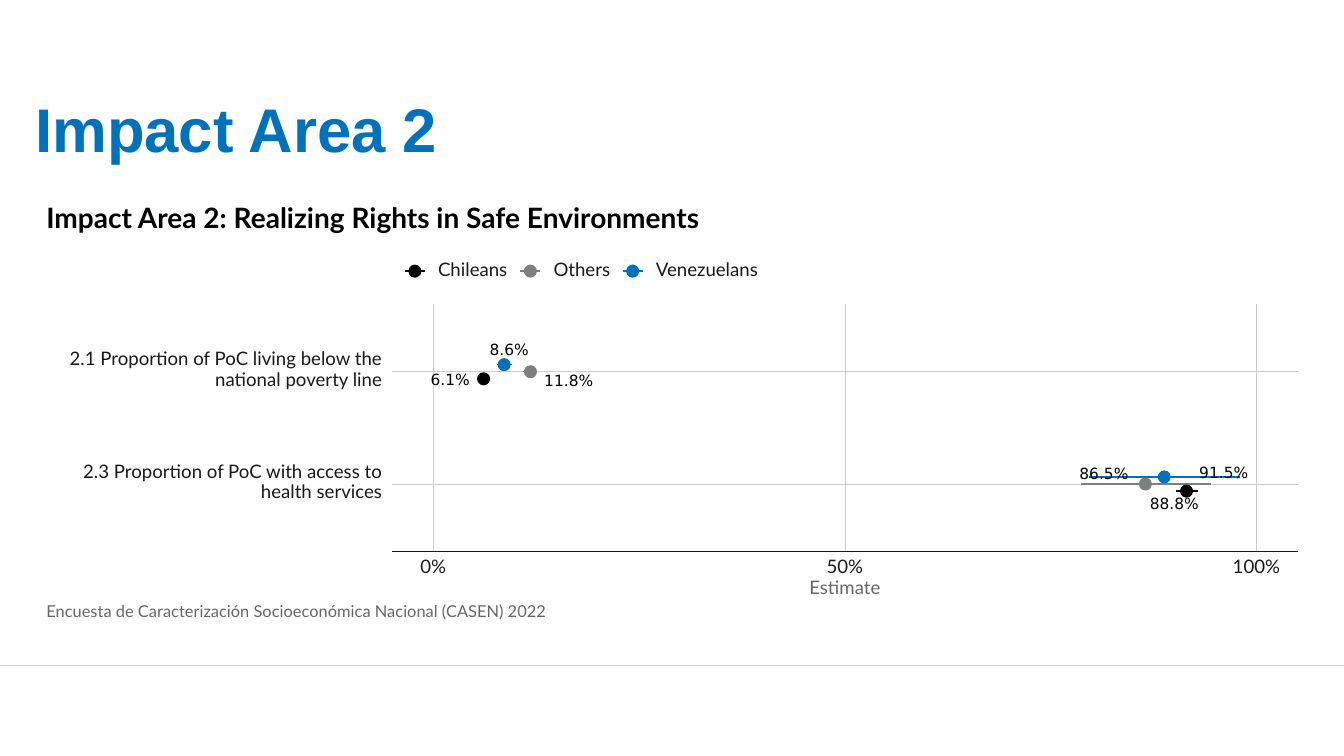
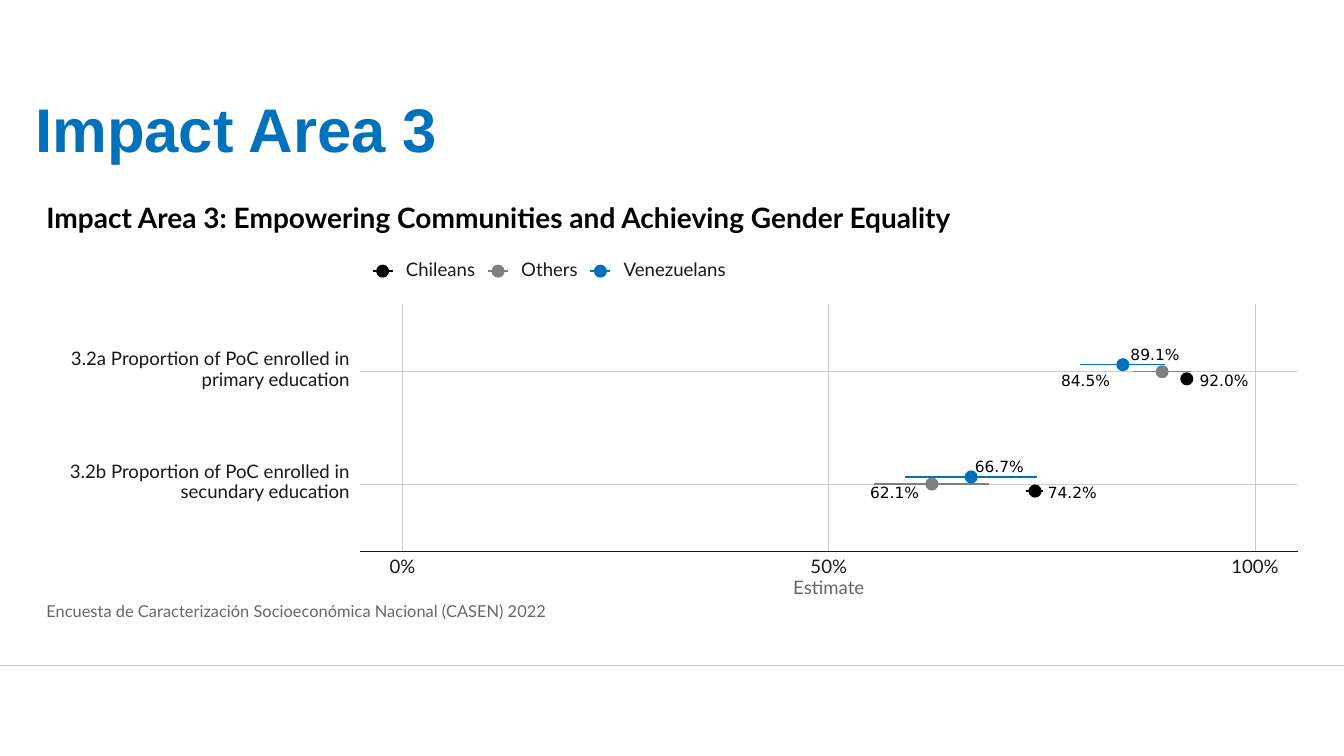
from dataclasses import dataclass

from lxml import etree
from pptx import Presentation
from pptx import util as u
from pptx.dml.color import RGBColor
from pptx.enum import shapes, text
from pptx.oxml import ns

# Grid: square cells of a tenth of an inch; all positions are in cells
CELL = 0.1
COLS, ROWS = 133.3, 75

# Colours
BLUE, BLACK, GREY = "0072BC", "000000", "7F7F7F"
RULE, INK, MUTED = "CCCCCC", "191919", "666666"

# Plot frame; the value axis reaches 5 % beyond 0 and 100
PLOT_TOP, PLOT_BOTTOM, PLOT_RIGHT = 30.2, 54.7, 128.7
AXIS_MIN, AXIS_MAX = -5, 105
ROW_PITCH = (PLOT_BOTTOM - PLOT_TOP) / 2.2
MARKER = 1.1
LEGEND_Y = 26.9
SOURCE = "Encuesta de Caracterización Socioeconómica Nacional (CASEN) 2022"

LEFT, CENTER, RIGHT = text.PP_ALIGN.LEFT, text.PP_ALIGN.CENTER, text.PP_ALIGN.RIGHT


@dataclass(frozen=True)
class Series:
    name: str
    color: str
    dodge: float  # vertical shift from the category line
    name_width: float


@dataclass(frozen=True)
class Estimate:
    low: float
    value: float
    high: float
    label_dx: float  # label centre, measured from the marker
    label_dy: float


@dataclass(frozen=True)
class Indicator:
    name: str
    estimates: tuple[Estimate, ...]  # in the order of SERIES


@dataclass(frozen=True)
class Area:
    title: str
    subtitle: str
    plot_left: float
    indicators: tuple[Indicator, ...]

    def x(self, value: float) -> float:
        share = (value - AXIS_MIN) / (AXIS_MAX - AXIS_MIN)
        return self.plot_left + share * (PLOT_RIGHT - self.plot_left)


SERIES = (
    Series("Chileans", BLACK, 0.7, 6.9),
    Series("Others", GREY, 0, 5.6),
    Series("Venezuelans", BLUE, -0.7, 10.3),
)

AREAS = (
    Area("Impact Area 2", "Impact Area 2: Realizing Rights in Safe Environments", 38.9, (
        Indicator("2.1 Proportion of PoC living below the\nnational poverty line", (
            Estimate(6.0, 6.1, 6.3, -3.3, 0.2),
            Estimate(10.9, 11.8, 12.6, 3.8, 1.0),
            Estimate(7.7, 8.6, 9.6, 0.5, -1.4))),
        Indicator("2.3 Proportion of PoC with access to\nhealth services", (
            Estimate(90.2, 91.5, 92.9, 3.7, -1.7),
            Estimate(78.7, 86.5, 94.5, -4.1, -0.9),
            Estimate(79.7, 88.8, 98.0, 1.0, 2.8))),
    )),
    Area("Impact Area 3",
         "Impact Area 3: Empowering Communities and Achieving Gender Equality", 35.7, (
             Indicator("3.2a Proportion of PoC enrolled in\nprimary education", (
                 Estimate(91.5, 92.0, 92.5, 3.7, 0.3),
                 Estimate(85.7, 89.1, 92.5, -0.7, -1.6),
                 Estimate(79.5, 84.5, 89.4, -3.7, 1.7))),
             Indicator("3.2b Proportion of PoC enrolled in\nsecundary education", (
                 Estimate(73.1, 74.2, 75.1, 3.7, 0.3),
                 Estimate(55.3, 62.1, 68.8, -3.7, 1.0),
                 Estimate(58.9, 66.7, 74.4, 2.8, -0.9))),
         )),
)


def cells(n: float) -> int:
    return u.Inches(n * CELL)


def rgb(color: str) -> RGBColor:
    return RGBColor.from_string(color)


def format_runs(p, font: str, size: float, color: str, bold: bool = False) -> None:
    for r in p.runs:
        r.font.name, r.font.size, r.font.bold = font, u.Pt(size), bold
        r.font.color.rgb = rgb(color)


def add_line(sps, x1: float, y1: float, x2: float, y2: float,
             color: str, width: float) -> None:
    sp = sps.add_connector(shapes.MSO_CONNECTOR.STRAIGHT,
                           cells(x1), cells(y1), cells(x2), cells(y2))
    sp.line.color.rgb = rgb(color)
    sp.line.width = u.Pt(width)
    etree.SubElement(sp.element.spPr, ns.qn("a:effectLst"))


def add_marker(sps, x: float, y: float, color: str) -> None:
    sp = sps.add_shape(shapes.MSO_SHAPE.OVAL, cells(x - MARKER / 2), cells(y - MARKER / 2),
                       cells(MARKER), cells(MARKER))
    sp.shadow.inherit = False
    sp.fill.solid()
    sp.fill.fore_color.rgb = sp.line.color.rgb = rgb(color)
    sp.line.width = u.Pt(1.42)


def add_text(sps, words: str, x: float, y: float, width: float, align=LEFT,
             size: float = 13.3, color: str = INK, font: str = "Lato",
             bold: bool = False, spacing: float = 0) -> None:
    """Text centred on height y; x is its left, centre or right by align."""
    left = x - {LEFT: 0, CENTER: 0.5, RIGHT: 1}[align] * width
    height = 2 * (1 + words.count("\n"))
    sp = sps.add_textbox(cells(left), cells(y - height / 2), cells(width), cells(height))
    tf = sp.text_frame
    tf.word_wrap = True
    tf.margin_left = tf.margin_right = tf.margin_top = tf.margin_bottom = 0
    tf.vertical_anchor = text.MSO_ANCHOR.MIDDLE
    p = tf.paragraphs[0]
    p.text = words
    p.alignment = align
    p.line_spacing = u.Pt(spacing or size)
    format_runs(p, font, size, color, bold)


def add_frame(s, title: str) -> None:
    """Title and footer rule shared by all slides."""
    sp = s.shapes.title
    sp.left, sp.top, sp.width, sp.height = map(cells, (2.5, 2.5, 128.3, 14.5))
    tf = sp.text_frame
    tf.text = title
    tf.vertical_anchor = text.MSO_ANCHOR.BOTTOM
    tf.auto_size = text.MSO_AUTO_SIZE.NONE
    p = tf.paragraphs[0]
    p.alignment = LEFT
    p.line_spacing = 0.9
    format_runs(p, "Arial", 44, BLUE, True)
    add_line(s.shapes, 0, 66, COLS, 66, RULE, 0.75)


def add_axes(sps, area: Area, rows: list[float]) -> None:
    left, middle = area.plot_left, area.x(50)
    for y, indicator in zip(rows, area.indicators):
        add_line(sps, left, y, PLOT_RIGHT, y, RULE, 0.53)
        add_text(sps, indicator.name, left - 1, y - 0.2, left - 2, RIGHT, spacing=14.4)
    for tick in (0, 50, 100):
        x = area.x(tick)
        add_line(sps, x, PLOT_TOP, x, PLOT_BOTTOM, RULE, 0.53)
        add_text(sps, f"{tick}%", x, 56.3, 8, CENTER)
    add_line(sps, left, PLOT_BOTTOM, PLOT_RIGHT, PLOT_BOTTOM, INK, 1.07)
    add_text(sps, "Estimate", middle, 58.4, 12, CENTER, color=MUTED)


def add_estimates(sps, area: Area, rows: list[float]) -> None:
    points = [(e, series.color, area.x(e.value), y + series.dodge)
              for y, indicator in zip(rows, area.indicators)
              for series, e in zip(SERIES, indicator.estimates)]
    for e, color, _, y in points:
        add_line(sps, area.x(e.low), y, area.x(e.high), y, color, 1.07)
    for _, color, x, y in points:
        add_marker(sps, x, y, color)
    for e, _, x, y in points:
        add_text(sps, f"{e.value:.1f}%", x + e.label_dx, y + e.label_dy, 7, CENTER,
                 11, BLACK, "DejaVu Sans")


def add_legend(sps, left: float) -> None:
    x = left + 2.25
    for series in SERIES:
        add_line(sps, x - 1, LEGEND_Y, x + 1, LEGEND_Y, series.color, 1.07)
        add_marker(sps, x, LEGEND_Y, series.color)
        add_text(sps, series.name, x + 2.3, LEGEND_Y, series.name_width + 1)
        x += series.name_width + 4.55


def add_area_slide(prs, area: Area) -> None:
    s = prs.slides.add_slide(prs.slide_layouts[5])
    add_frame(s, area.title)
    sps = s.shapes.add_group_shape().shapes
    rows = [PLOT_TOP + (0.6 + i) * ROW_PITCH for i in range(len(area.indicators))]
    add_axes(sps, area, rows)
    add_estimates(sps, area, rows)
    add_legend(sps, area.plot_left)
    add_text(sps, area.subtitle, 4.6, 21.8, 120, size=20, color=BLACK, bold=True)
    add_text(sps, SOURCE, 4.6, 60.8, 80, size=11.7, color=MUTED)


def main() -> None:
    prs = Presentation()
    prs.slide_width, prs.slide_height = cells(COLS), cells(ROWS)
    for area in AREAS:
        add_area_slide(prs, area)
    prs.save("out.pptx")


if __name__ == "__main__":
    main()
